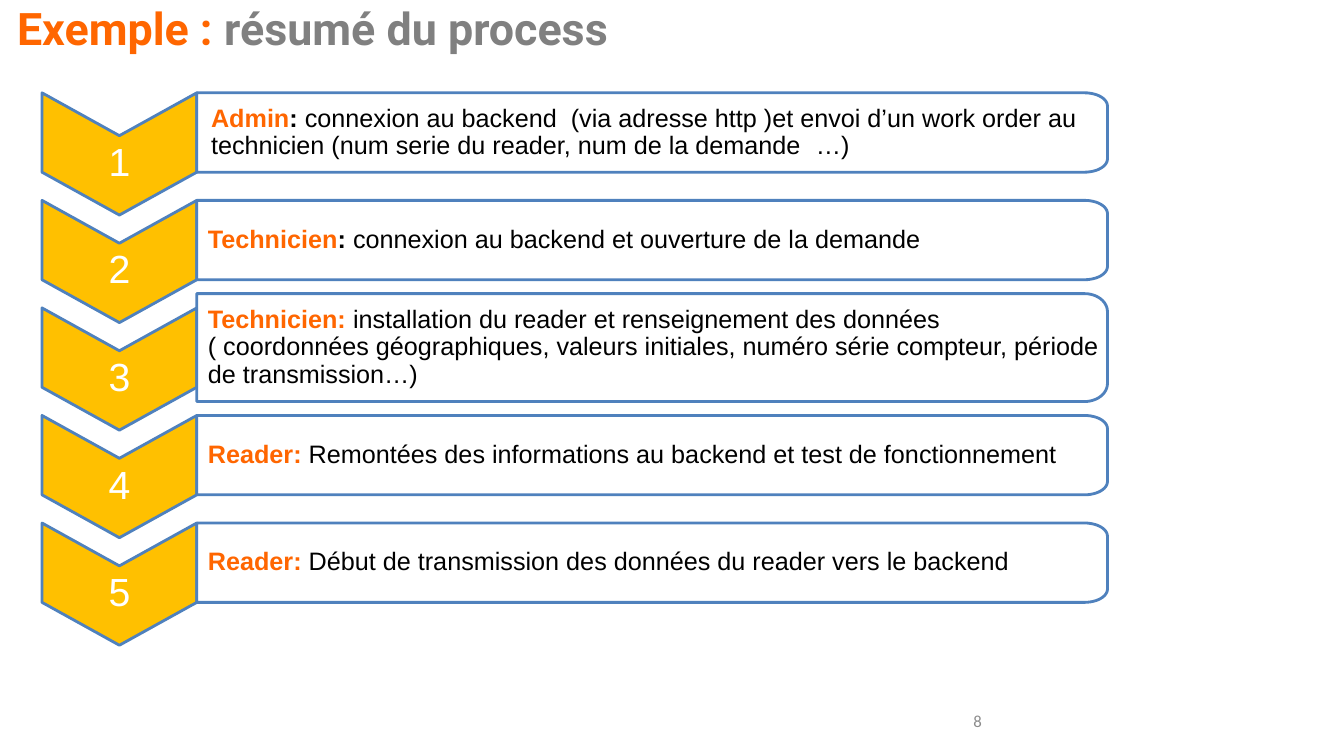
from dataclasses import dataclass
from math import cos, pi, sin

from lxml import etree
from pptx import Presentation
from pptx import util as u
from pptx.dml.color import RGBColor
from pptx.enum import text as t
from pptx.oxml.ns import qn


@dataclass(frozen=True)
class Theme:
    orange: str = "FF6600"
    grey: str = "808080"
    page_grey: str = "8C8C8C"
    amber: str = "FFC000"
    blue: str = "4F81BD"
    white: str = "FFFFFF"
    black: str = "000000"
    title_size: int = 32
    number_size: int = 28
    step_size: int = 18
    page_size: int = 12
    outline: float = 2


@dataclass(frozen=True)
class Run:
    text: str
    color: str
    bold: bool = False


@dataclass(frozen=True)
class Step:
    actor: str
    colon: Run
    action: str
    height: float = 2.0
    inset: float = 0.28


THEME = Theme()
BLACK_COLON = Run(": ", THEME.black, True)
ORANGE_COLON = Run(": ", THEME.orange, True)

STEPS = [
    Step("Admin", BLACK_COLON,
         "connexion au backend  (via adresse http )et envoi d’un work order au "
         "technicien (num serie du reader, num de la demande\t…)", inset=0.36),
    Step("Technicien", BLACK_COLON,
         "connexion au backend et ouverture de la demande"),
    Step("Technicien", ORANGE_COLON,
         "installation du reader et renseignement des données ( coordonnées "
         "géographiques, valeurs initiales, numéro série compteur, période de "
         "transmission…)", height=2.72),
    Step("Reader", ORANGE_COLON,
         "Remontées des informations au backend et test de fonctionnement"),
    Step("Reader", ORANGE_COLON,
         "Début de transmission des données du reader vers le backend"),
]

# Lengths in centimetres
FIRST_TOP, ROW_STEP, ROW_HEIGHT = 2.34, 2.71, 2.0
CHEVRON_LEFT, CHEVRON_WIDTH, CHEVRON_POINT = 1.06, 3.9, 1.08
BOX_LEFT, BOX_WIDTH, CORNER_WIDTH = 4.96, 22.95, 0.58
ARC_PARTS = 12


def write(shape, runs: list[Run], *, size: int, font: str = "Arial",
          insets: tuple = (0.25, 0.13, 0.25, 0.13), align=t.PP_ALIGN.LEFT,
          anchor=t.MSO_ANCHOR.MIDDLE, spacing: float = 1.0) -> None:
    """Fill a shape with one paragraph; insets are left, top, right, bottom."""
    frame = shape.text_frame
    frame.word_wrap = True
    frame.vertical_anchor = anchor
    (frame.margin_left, frame.margin_top,
     frame.margin_right, frame.margin_bottom) = map(u.Cm, insets)
    paragraph = frame.paragraphs[0]
    paragraph.alignment = align
    paragraph.line_spacing = spacing
    for part in runs:
        run = paragraph.add_run()
        run.text = part.text
        run.font.name = font
        run.font.size = u.Pt(size)
        run.font.bold = part.bold
        run.font.color.rgb = RGBColor.from_string(part.color)


def add_outline(slide, points: list[tuple[float, float]], fill: str,
                opacity: int = 100):
    """Draw a closed polygon from points in centimetres."""
    start, *rest = [(u.Cm(x), u.Cm(y)) for x, y in points]
    builder = slide.shapes.build_freeform(*start)
    builder.add_line_segments(rest, close=True)
    shape = builder.convert_to_shape()
    shape.shadow.inherit = False
    shape.fill.solid()
    shape.fill.fore_color.rgb = RGBColor.from_string(fill)
    shape.line.color.rgb = RGBColor.from_string(THEME.blue)
    shape.line.width = u.Pt(THEME.outline)
    if opacity < 100:
        color = shape.fill._xPr.find(qn("a:solidFill"))[0]
        etree.SubElement(color, qn("a:alpha"), val=str(opacity * 1000))
    return shape


def add_chevron(slide, number: int, top: float) -> None:
    left, right = CHEVRON_LEFT, CHEVRON_LEFT + CHEVRON_WIDTH
    middle, bottom = left + CHEVRON_WIDTH / 2, top + ROW_HEIGHT
    chevron = add_outline(slide, [
        (right, top), (right, bottom), (middle, bottom + CHEVRON_POINT),
        (left, bottom), (left, top), (middle, top + CHEVRON_POINT),
    ], THEME.amber)
    write(chevron, [Run(str(number), THEME.white)], size=THEME.number_size,
          insets=(0.03, 0.76, 0.03, 0.76), align=t.PP_ALIGN.CENTER,
          anchor=t.MSO_ANCHOR.BOTTOM, spacing=0.9)


def add_step_box(slide, step: Step, top: float) -> None:
    """Draw a box whose two right corners are elliptical."""
    bottom, right = top + step.height, BOX_LEFT + BOX_WIDTH
    corner_height = step.height / 6
    angles = [pi / 2 * i / ARC_PARTS for i in range(ARC_PARTS + 1)]
    arc = [(right - CORNER_WIDTH * (1 - sin(a)), corner_height * (1 - cos(a)))
           for a in angles]
    box = add_outline(slide, [
        (BOX_LEFT, top), *((x, top + y) for x, y in arc),
        *((x, bottom - y) for x, y in reversed(arc)), (BOX_LEFT, bottom),
    ], THEME.white, opacity=90)
    write(box, [Run(step.actor, THEME.orange, True), step.colon,
                Run(step.action, THEME.black)], size=THEME.step_size,
          insets=(step.inset, 0.1, 0.1, 0.1), spacing=0.9)


def main() -> None:
    deck = Presentation()
    deck.slide_width, deck.slide_height = u.Cm(33.87), u.Cm(19.05)
    slide = deck.slides.add_slide(deck.slide_layouts[6])

    page_number = slide.shapes.add_textbox(
        u.Cm(24.28), u.Cm(17.65), u.Cm(7.9), u.Cm(1.02))
    write(page_number, [Run("8", THEME.page_grey)], size=THEME.page_size,
          font="Calibri")
    title = slide.shapes.add_textbox(u.Cm(0.43), 0, u.Cm(27.03), u.Cm(1.4))
    write(title, [Run("Exemple : ", THEME.orange, True),
                  Run("résumé du process", THEME.grey, True)],
          size=THEME.title_size, font="Roboto", insets=(0, 0, 0, 0))

    for index, step in enumerate(STEPS):
        top = FIRST_TOP + index * ROW_STEP
        add_chevron(slide, index + 1, top)
        add_step_box(slide, step, top - (step.height - ROW_HEIGHT) / 2)

    deck.save("out.pptx")


if __name__ == "__main__":
    main()
